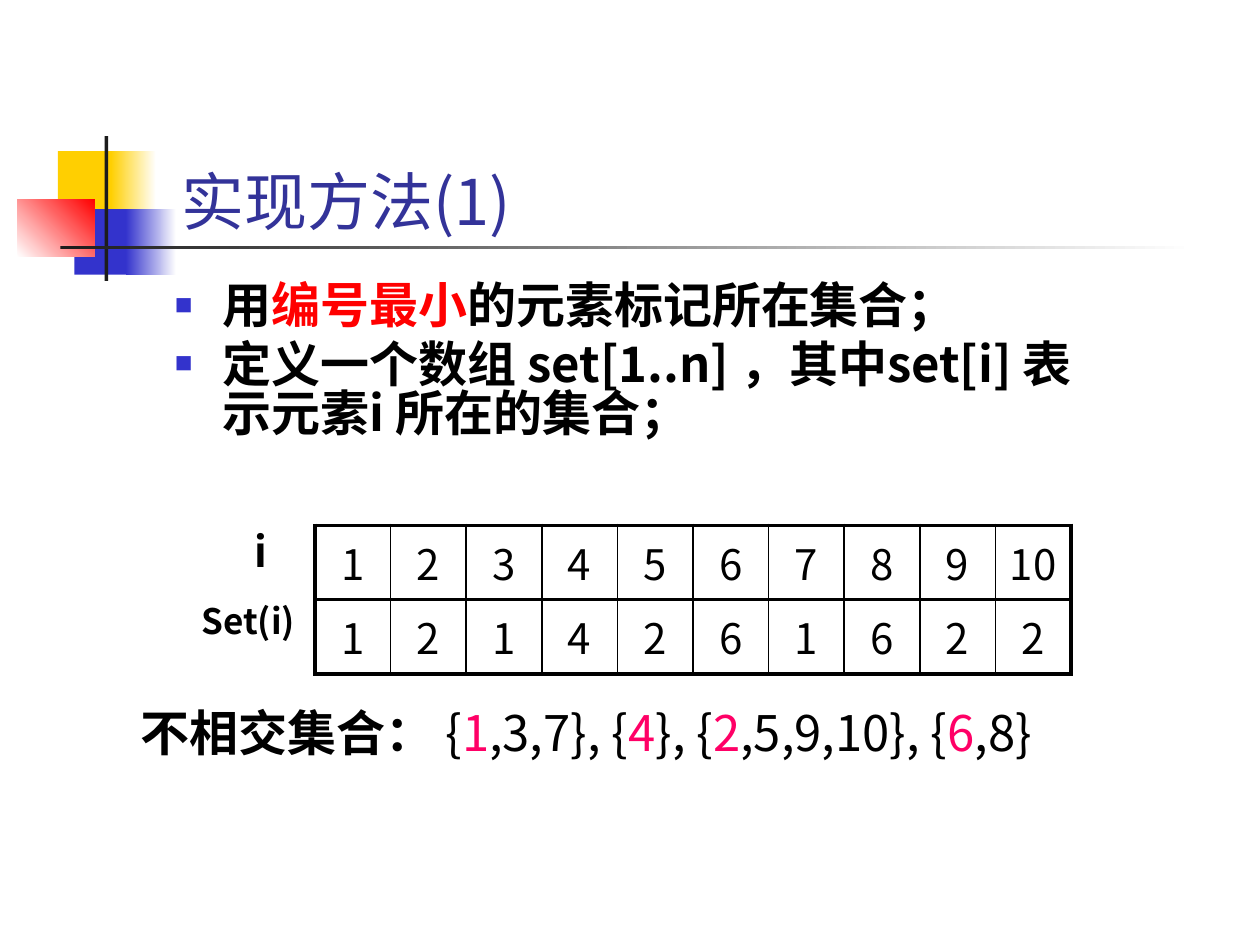
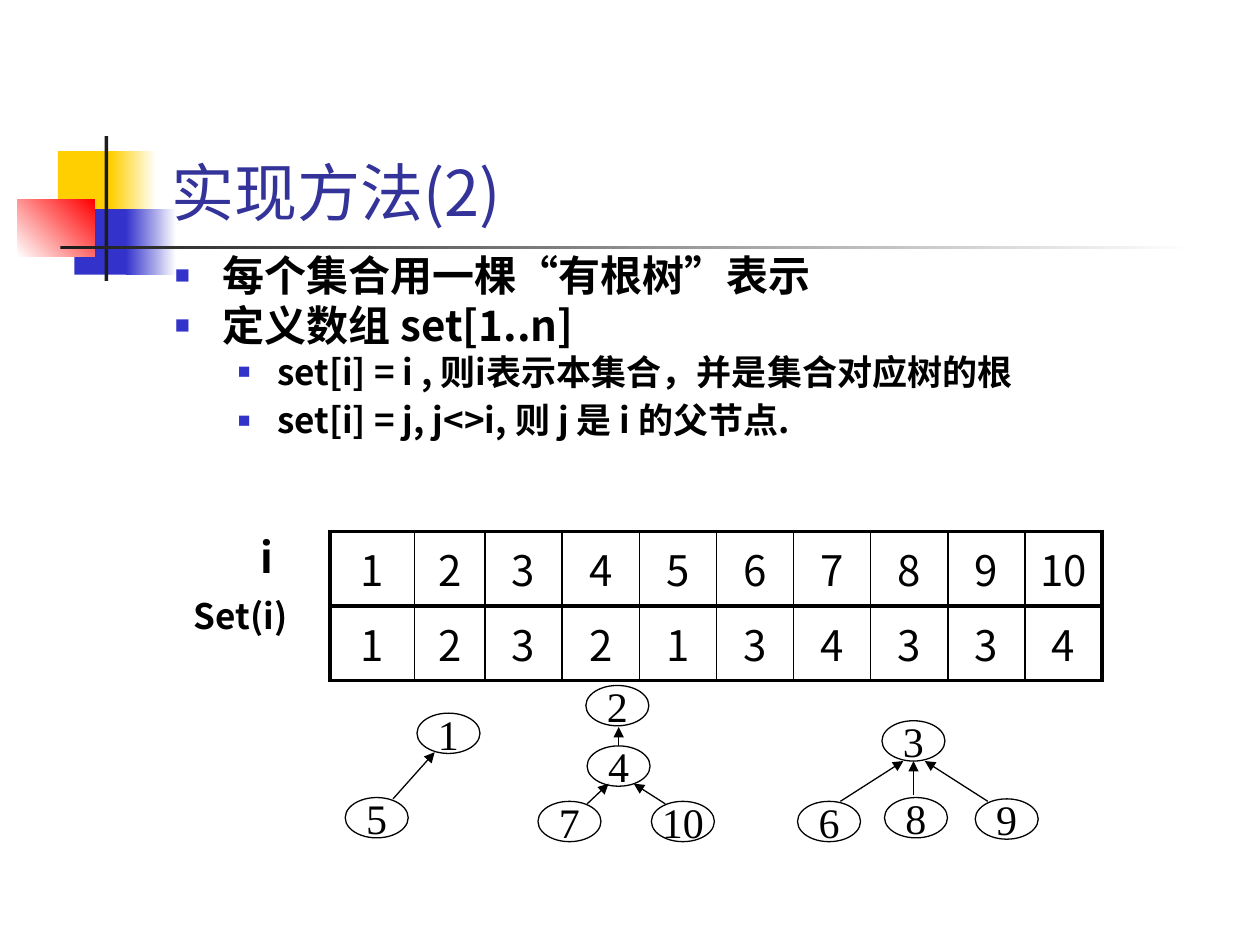
from lxml import etree
from pptx import Presentation
from pptx.dml.color import RGBColor
from pptx.enum.shapes import MSO_CONNECTOR, MSO_SHAPE
from pptx.enum.text import MSO_ANCHOR, PP_ALIGN
from pptx.oxml.ns import qn
from pptx.util import Inches, Pt

RECT, OVAL = MSO_SHAPE.RECTANGLE, MSO_SHAPE.OVAL
STRAIGHT = MSO_CONNECTOR.STRAIGHT
TOP, MIDDLE, BOTTOM = MSO_ANCHOR.TOP, MSO_ANCHOR.MIDDLE, MSO_ANCHOR.BOTTOM
CENTER = PP_ALIGN.CENTER

COLORS = {
    "yellow": "FFCF01", "blue": "3333CC", "red": "FF0000", "white": "FFFFFF",
    "dark": "1C1C1C", "title": "333399", "black": "000000", "pink": "FF0066",
}
HAN, LATIN, SERIF = "Noto Sans CJK SC", "Noto Sans CJK KR", "Times New Roman"

# Text formats
TITLE = {"size": Pt(36), "name": "Arial", "bold": False}
TITLE_NUMBER = {**TITLE, "name": LATIN}
BODY_28 = {"size": Pt(28), "name": HAN, "bold": True}
BODY_24 = {**BODY_28, "size": Pt(24)}
BODY_20 = {**BODY_28, "size": Pt(20)}
CELL = {"size": Pt(24), "name": LATIN, "bold": False}
INDEX_LABEL = {**CELL, "bold": True}
SET_LABEL = {**INDEX_LABEL, "size": Pt(20)}
SETS = {**CELL, "size": Pt(28)}
NODE = {"size": Pt(24), "name": SERIF, "bold": False}


def add_child(parent, tag, **attributes):
    child = etree.SubElement(parent, qn(tag))
    for key, value in attributes.items():
        child.set(key, str(value))
    return child


def add_runs(paragraph, runs):
    for text, style, color in runs:
        run = paragraph.add_run()
        run.text = text
        for key, value in style.items():
            setattr(run.font, key, value)
        run.font.color.rgb = RGBColor.from_string(COLORS[color])
        east_asian = HAN if style["name"] == "Arial" else style["name"]
        add_child(run.font._element, "a:ea", typeface=east_asian)


# Corner ornament and title rule: box, first colour, last colour, angle
ORNAMENT = [
    ((0.46, 1.2, 0.48, 0.52), "yellow", None, 0),
    ((0.88, 1.2, 0.36, 0.52), "yellow", "white", 0),
    ((0.59, 1.66, 0.46, 0.52), "blue", None, 0),
    ((1, 1.66, 0.4, 0.52), "blue", "white", 0),
    ((0.14, 1.58, 0.61, 0.46), "white", "red", 45),
    ((0.83, 1.08, 0.03, 1.15), "dark", None, 0),
    ((0.48, 1.95, 9, 0.03), "dark", "white", 0),
]

# Bullets: runs, level, space before in points
METHOD_1 = [
    ([("用", BODY_28, "black"), ("编号最小", BODY_28, "red"),
      ("的元素标记所在集合；", BODY_28, "black")], 0, 5.6),
    ([("定义一个数组 set[1..n] ，其中set[i] 表示元素i 所在的集合；",
       BODY_28, "black")], 0, 5.6),
]
METHOD_2 = [
    ([("每个集合用一棵“有根树”表示", BODY_24, "black")], 0, 4.8),
    ([("定义数组 set[1..n]", BODY_24, "black")], 0, 4.8),
    ([("set[i] = i , 则i表示本集合，并是集合对应树的根", BODY_20, "black")], 1, 4),
    ([("set[i] = j, j<>i, 则 j 是 i 的父节点.", BODY_20, "black")], 1, 8),
]
INDENTS = [(0.38, -0.38), (0.81, -0.31)]

# Disjoint sets, with the label of each set in pink
disjoint_sets = [("不相交集合： ", BODY_28, "black"), ("{", SETS, "black")]
for label, rest in [("1", ",3,7}, {"), ("4", "}, {"),
                    ("2", ",5,9,10}, {"), ("6", ",8}")]:
    disjoint_sets += [(label, SETS, "pink"), (rest, SETS, "black")]

PAGES = [
    {
        "number": "(1)", "title_box": (1.34, 1.15, 4.94, 0.79),
        "body_box": (1.29, 2.21, 7.65, 1.78), "body": METHOD_1,
        "table_at": (2.5, 4.17), "columns": [0.6] * 10,
        "sets": [1, 2, 1, 4, 2, 6, 1, 6, 2, 2],
        "captions": [
            ((1.92, 4.12, 0.36, 0.5), [("i", INDEX_LABEL, "black")]),
            ((1.5, 4.71, 1, 0.44), [("Set(i)", SET_LABEL, "black")]),
            ((1.02, 5.53, 8.63, 0.57), disjoint_sets),
        ],
        "nodes": [], "parent_links": [],
    },
    {
        "number": "(2)", "title_box": (1.26, 0.27, 8.52, 1.6),
        "body_box": (1.29, 2, 8.49, 2), "body": METHOD_2,
        "table_at": (2.62, 4.22), "columns": [0.67, 0.56] + [4.9 / 8] * 8,
        "sets": [1, 2, 3, 2, 1, 3, 4, 3, 3, 4],
        "captions": [
            ((1.97, 4.17, 0.33, 0.5), [("i", INDEX_LABEL, "black")]),
            ((1.44, 4.67, 1.05, 0.44), [("Set(i)", SET_LABEL, "black")]),
        ],
        "nodes": [
            (1, 3.31, 5.66), (5, 2.74, 6.33),
            (2, 4.65, 5.44), (4, 4.66, 5.92), (7, 4.27, 6.36), (10, 5.17, 6.36),
            (3, 7, 5.72), (6, 6.33, 6.36), (8, 7.02, 6.33), (9, 7.74, 6.34),
        ],
        "parent_links": [
            (3.12, 6.34, 3.45, 5.97),
            (4.66, 6.38, 4.83, 6.22), (5.28, 6.38, 5.03, 6.22),
            (4.91, 5.92, 4.91, 5.77),
            (6.67, 6.36, 7.17, 6.04), (7.25, 6.31, 7.25, 6.04),
            (7.84, 6.36, 7.34, 6.04),
        ],
    },
]

prs = Presentation()
prs.slide_width, prs.slide_height = Inches(10), Inches(7.5)

for page in PAGES:
    slide = prs.slides.add_slide(prs.slide_layouts[6])

    # Ornament
    for box, first, last, angle in ORNAMENT:
        block = slide.shapes.add_shape(RECT, *map(Inches, box))
        block.shadow.inherit = False
        block.line.fill.background()
        if last is None:
            block.fill.solid()
            block.fill.fore_color.rgb = RGBColor.from_string(COLORS[first])
        else:
            block.fill.gradient()
            block.fill.gradient_angle = angle
            for stop, color in zip(block.fill.gradient_stops, (first, last)):
                stop.color.rgb = RGBColor.from_string(COLORS[color])

    # Title, bullets and captions
    title = [("实现方法", TITLE, "title"), (page["number"], TITLE_NUMBER, "title")]
    texts = [(page["title_box"], BOTTOM, [(title, None, 0)]),
             (page["body_box"], TOP, page["body"])]
    texts += [(box, TOP, [(runs, None, 0)]) for box, runs in page["captions"]]
    for box, anchor, paragraphs in texts:
        frame = slide.shapes.add_textbox(*map(Inches, box)).text_frame
        frame.word_wrap = True
        frame.vertical_anchor = anchor
        for i, (runs, level, space_before) in enumerate(paragraphs):
            paragraph = frame.add_paragraph() if i else frame.paragraphs[0]
            add_runs(paragraph, runs)
            if level is None:
                continue
            paragraph.level = level
            paragraph.line_spacing = 0.83
            paragraph.space_before = Pt(space_before)
            properties = paragraph._p.get_or_add_pPr()
            for key, inches in zip(("marL", "indent"), INDENTS[level]):
                properties.set(key, str(Inches(inches)))
            bullet_color = add_child(properties, "a:buClr")
            add_child(bullet_color, "a:srgbClr", val=COLORS["blue"])
            add_child(properties, "a:buSzPct", val=60000)
            add_child(properties, "a:buFont", typeface="Arial")
            add_child(properties, "a:buChar", char="■")

    # Table of elements and their sets
    columns = page["columns"]
    row_height = 0.59
    left, top = page["table_at"]
    table = slide.shapes.add_table(
        2, len(columns), Inches(left), Inches(top),
        Inches(sum(columns)), Inches(2 * row_height)).table
    table.first_row = table.horz_banding = False
    for column, width in zip(table.columns, columns):
        column.width = Inches(width)
    for r, values in enumerate([range(1, 11), page["sets"]]):
        table.rows[r].height = Inches(row_height)
        for c, value in enumerate(values):
            cell = table.cell(r, c)
            paragraph = cell.text_frame.paragraphs[0]
            paragraph.alignment = CENTER
            add_runs(paragraph, [(str(value), CELL, "black")])
            borders = {
                "a:lnL": 2.25 if c == 0 else 1,
                "a:lnR": 2.25 if c == len(columns) - 1 else 1,
                "a:lnT": 2.25, "a:lnB": 2.25,
            }
            for side, width in borders.items():
                border = add_child(cell._tc.get_or_add_tcPr(), side, w=Pt(width))
                border_fill = add_child(border, "a:solidFill")
                add_child(border_fill, "a:srgbClr", val=COLORS["black"])
            cell.fill.background()

    # Rooted trees
    for element, x, y in page["nodes"]:
        node = slide.shapes.add_shape(
            OVAL, Inches(x), Inches(y), Inches(0.5), Inches(0.32))
        node.shadow.inherit = False
        node.fill.solid()
        node.fill.fore_color.rgb = RGBColor.from_string(COLORS["white"])
        node.line.color.rgb = RGBColor.from_string(COLORS["black"])
        node.line.width = Pt(0.75)
        node.text_frame.word_wrap = False
        node.text_frame.vertical_anchor = MIDDLE
        paragraph = node.text_frame.paragraphs[0]
        paragraph.alignment = CENTER
        add_runs(paragraph, [(str(element), NODE, "black")])
    for ends in page["parent_links"]:
        link = slide.shapes.add_connector(STRAIGHT, *map(Inches, ends))
        link.line.color.rgb = RGBColor.from_string(COLORS["black"])
        link.line.width = Pt(0.75)
        add_child(link.line._get_or_add_ln(), "a:tailEnd", type="triangle")
        add_child(link._element.spPr, "a:effectLst")

prs.save("out.pptx")
